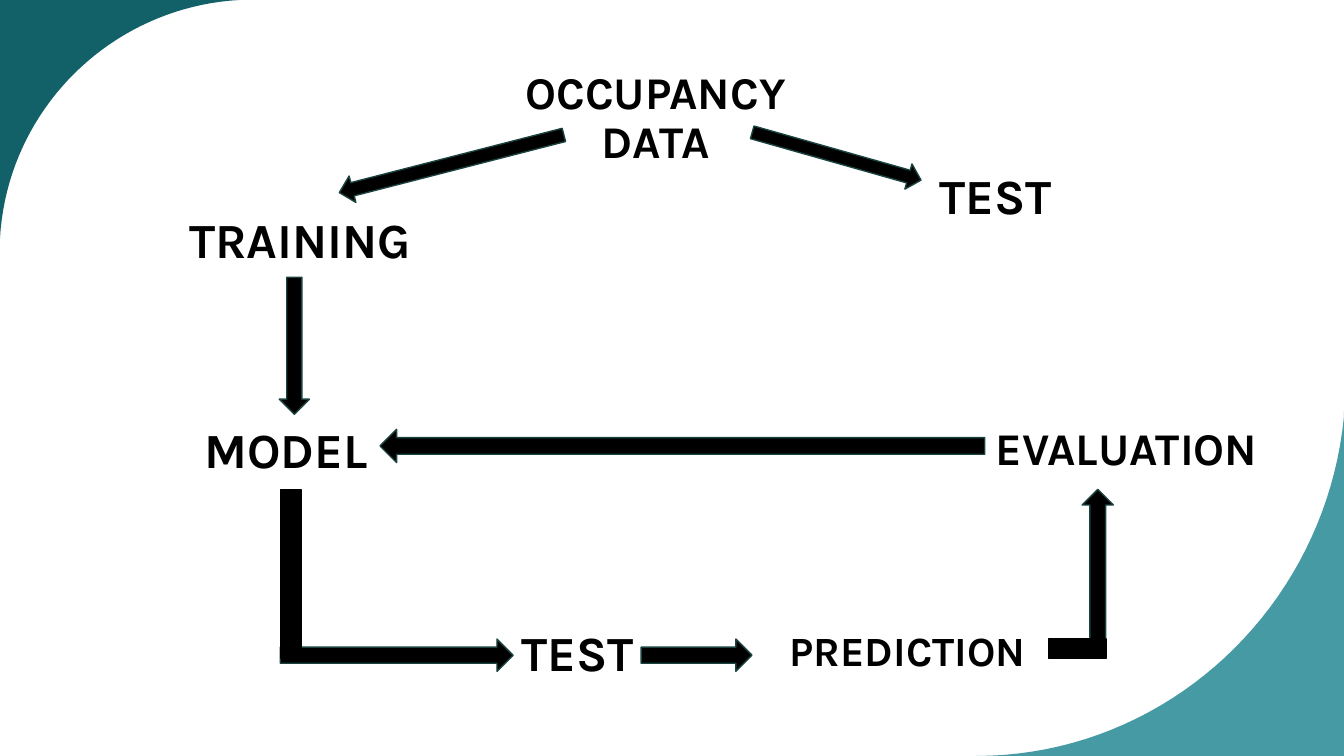
"""Draw a flow from occupancy data through training and testing to evaluation."""
from dataclasses import dataclass

import pptx
import pptx.dml.color
import pptx.enum.shapes
import pptx.enum.text
import pptx.oxml.ns
import pptx.util
from lxml import etree

RGB = pptx.dml.color.RGBColor
SHAPE = pptx.enum.shapes.MSO_SHAPE
BLACK = RGB(0x00, 0x00, 0x00)
EDGE = RGB(0x1A, 0x43, 0x3F)
DARK = RGB(0x12, 0x61, 0x69)
TEAL = RGB(0x18, 0x81, 0x8C)
FONT = "Karla"
CELL = 0.1
COLS, ROWS = 133.33, 75
STEPS = 40

Point = tuple[float, float]


@dataclass(frozen=True)
class Label:
    """Hold a centred word and its box in grid cells."""
    text: str
    col: float
    row: float
    wide: float
    high: float
    size: float
    space: float = 0.9


@dataclass(frozen=True)
class Block:
    """Hold an arrow or bar, in grid cells, with its turn in degrees."""
    col: float
    row: float
    wide: float
    high: float
    turn: float = 0
    kind: SHAPE = SHAPE.LEFT_ARROW
    edge: RGB = EDGE


@dataclass(frozen=True)
class Corner:
    """Hold a filled corner: its straight edges and the curve that ends them."""
    edges: tuple[Point, ...]
    curve: tuple[Point, Point, Point, Point]
    fill: RGB
    alpha: int = 100


CORNERS = (
    Corner(((COLS, 40.8), (COLS, ROWS)),
           ((96.8, ROWS), (115.8, ROWS), (131.5, 60.2), (COLS, 41.3)), TEAL, 80),
    Corner(((0, 25), (0, 0), (25, 0)),
           ((23.8, 0), (11, 0.7), (0.7, 10.9), (0, 23.7)), DARK),
)

BLOCKS = (
    Block(33.3, 14.9, 23, 2.7, 345.6),
    Block(74.3, 14.2, 17.4, 2.6, 195.8),
    Block(22.4, 32.8, 13.6, 3, 270),
    Block(27.8, 63.4, 23.1, 3.2, 180),
    Block(27.8, 48.6, 2.1, 16.7, 0, SHAPE.RECTANGLE, BLACK),
    Block(63.6, 63.4, 11, 3.2, 180),
    Block(101.3, 54.6, 15.2, 3.1, 90),
    Block(105.9, 61.5, 1.9, 5.7, 90, SHAPE.RECTANGLE, BLACK),
    Block(37.7, 42.6, 60, 3.3),
)

LABELS = (
    Label("OCCUPANCY DATA", 47.8, 6.2, 34.5, 11.2, 32.4),
    Label("TRAINING", 12.5, 18.5, 34.5, 11.2, 35.1),
    Label("TEST", 81.5, 14.1, 34.5, 11.2, 35.1),
    Label("MODEL", 11.1, 39.3, 34.5, 11.2, 35.1),
    Label("TEST", 49.5, 60.8, 15.6, 8.4, 35.1),
    Label("PREDICTION", 75.9, 61.9, 28.3, 6.1, 29.7, 0.8),
    Label("EVALUATION", 97.6, 41.7, 28.3, 6.1, 32.4),
)


def span(cells: float) -> int:
    """Turn grid cells into a length."""
    return pptx.util.Inches(cells * CELL)


def bend(curve: tuple[Point, Point, Point, Point], share: float) -> Point:
    """Find the point at a share of a cubic curve."""
    rest = 1 - share
    parts = (rest ** 3, 3 * rest ** 2 * share, 3 * rest * share ** 2, share ** 3)
    return (sum(part * spot[0] for part, spot in zip(parts, curve)),
            sum(part * spot[1] for part, spot in zip(parts, curve)))


def draw_corner(slide, corner: Corner) -> None:
    """Draw one curved corner."""
    arc = [bend(corner.curve, step / STEPS) for step in range(STEPS + 1)]
    spots = [(span(col), span(row)) for col, row in (*corner.edges, *arc)]
    pen = slide.shapes.build_freeform(*spots[0])
    pen.add_line_segments(spots[1:], close=True)
    shape = pen.convert_to_shape()
    shape.shadow.inherit = False
    shape.fill.solid()
    shape.fill.fore_color.rgb = corner.fill
    shape.line.fill.background()
    if corner.alpha < 100:
        name = pptx.oxml.ns.qn
        tint = shape.fill._xPr.find(f"{name('a:solidFill')}/{name('a:srgbClr')}")
        etree.SubElement(tint, name("a:alpha"), val=str(corner.alpha * 1000))


def draw_block(slide, block: Block) -> None:
    """Draw one arrow or bar."""
    shape = slide.shapes.add_shape(block.kind, span(block.col), span(block.row),
                                   span(block.wide), span(block.high))
    shape.rotation = block.turn
    shape.shadow.inherit = False
    shape.fill.solid()
    shape.fill.fore_color.rgb = BLACK
    shape.line.color.rgb = block.edge
    shape.line.width = pptx.util.Pt(1)


def draw_label(slide, label: Label) -> None:
    """Write one label."""
    box = slide.shapes.add_textbox(span(label.col), span(label.row),
                                   span(label.wide), span(label.high))
    frame = box.text_frame
    frame.word_wrap = True
    frame.vertical_anchor = pptx.enum.text.MSO_ANCHOR.MIDDLE
    frame.text = label.text
    line = frame.paragraphs[0]
    line.alignment = pptx.enum.text.PP_ALIGN.CENTER
    line.line_spacing = label.space
    font = line.runs[0].font
    font.name = FONT
    font.size = pptx.util.Pt(label.size)
    font.bold = True
    font.color.rgb = BLACK


def main() -> None:
    """Build and save the slide."""
    deck = pptx.Presentation()
    deck.slide_width, deck.slide_height = span(COLS), span(ROWS)
    slide = deck.slides.add_slide(deck.slide_layouts[6])
    for corner in CORNERS:
        draw_corner(slide, corner)
    for block in BLOCKS:
        draw_block(slide, block)
    for label in LABELS:
        draw_label(slide, label)
    deck.save("out.pptx")


if __name__ == "__main__":
    main()
